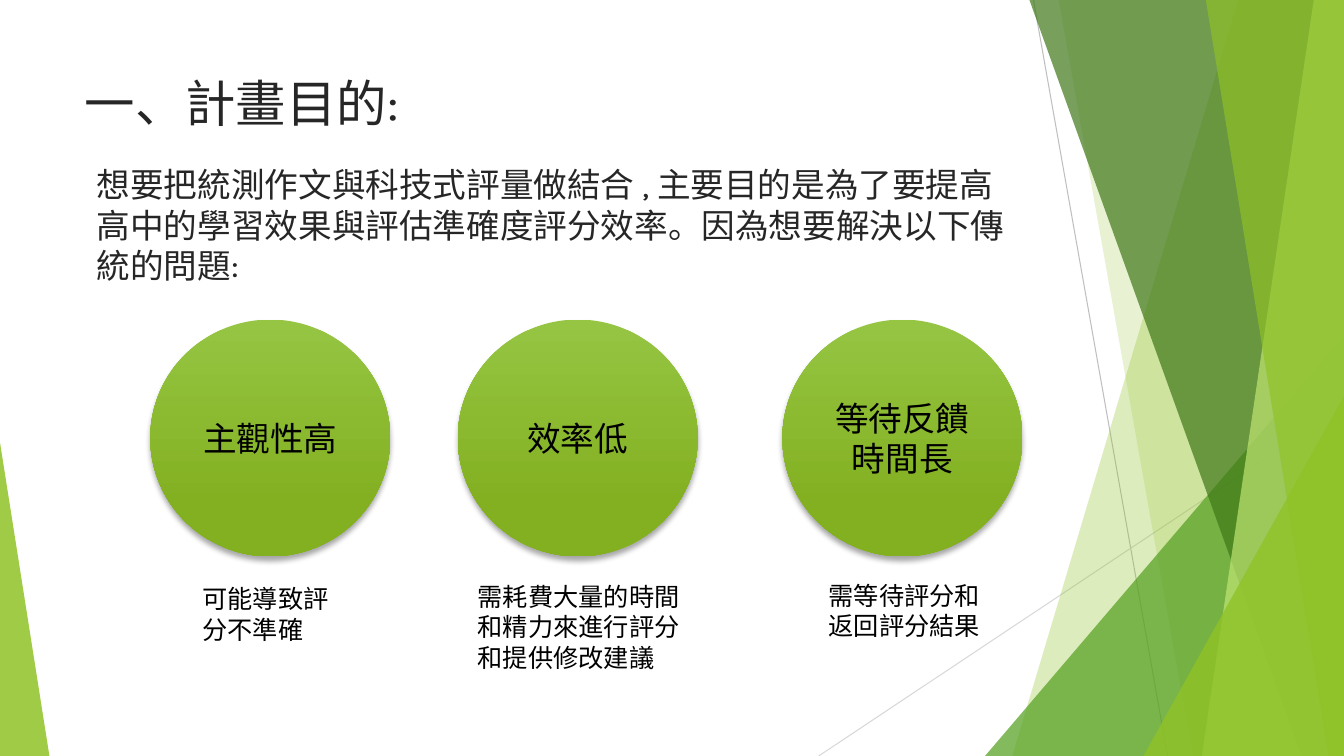
from lxml.etree import SubElement
from pptx import Presentation
from pptx.dml.color import RGBColor
from pptx.enum.shapes import MSO_CONNECTOR, MSO_SHAPE
from pptx.enum.text import MSO_ANCHOR, MSO_AUTO_SIZE, PP_ALIGN
from pptx.oxml.ns import qn
from pptx.util import Inches, Pt

WIDE, HIGH = 13.33, 7.5
FONT = "Karla"
HEX = {
    "lime": "90C226", "green": "54A021", "dark": "3F7818", "pale": "BFE471",
    "top": "95C543", "base": "83B021", "ink": "262626", "black": "000000",
    "gray": "BFBFBF", "light": "D8D8D8",
}


def rgb(name):
    """Look up a named colour."""
    return RGBColor.from_string(HEX[name])


def tint(shape, name, alpha):
    """Give a flat shape a see-through fill without line or shadow."""
    shape.fill.solid()
    shape.fill.fore_color.rgb = rgb(name)
    color = shape._element.spPr.find(qn("a:solidFill"))[0]
    SubElement(color, qn("a:alpha"), val=str(alpha * 1000))
    shape.line.fill.background()
    shape.shadow.inherit = False


def write(shape, text, size, color="black", align=PP_ALIGN.LEFT,
          anchor=MSO_ANCHOR.TOP, fit=MSO_AUTO_SIZE.NONE):
    """Set one wrapped paragraph and format it."""
    frame = shape.text_frame
    frame.text = text
    frame.word_wrap = True
    frame.auto_size = fit
    frame.vertical_anchor = anchor
    para = frame.paragraphs[0]
    para.alignment = align
    para.space_before = Pt(0)
    font = para.runs[0].font
    font.name, font.size, font.color.rgb = FONT, Pt(size), rgb(color)


def rule(shapes, start, end, color):
    """Draw a thin straight line."""
    line = shapes.add_connector(
        MSO_CONNECTOR.STRAIGHT, *map(Inches, start + end))
    line.line.color.rgb = rgb(color)
    line.line.width = Pt(0.75)
    SubElement(line._element.spPr, qn("a:effectLst"))


def band(shapes, box, top, foot, color, alpha):
    """Fill from a slanted left edge to the right side of the box."""
    x, y, w, h = box
    pen = shapes.build_freeform(Inches(x + top), Inches(y))
    ends = [(x + w, y), (x + w, y + h), (x + foot, y + h)]
    pen.add_line_segments([(Inches(a), Inches(b)) for a, b in ends])
    tint(pen.convert_to_shape(), color, alpha)


def wedge(shapes, box, tip, color, alpha):
    """Draw a right triangle with its tip at the left (0) or right (1)."""
    shape = shapes.add_shape(
        MSO_SHAPE.ISOSCELES_TRIANGLE, *map(Inches, box))
    shape.adjustments[0] = tip
    tint(shape, color, alpha)


def facets(shapes, box):
    """Build the green facets on the right side of the slide."""
    x, y, w, h = box
    right, foot = x + w, y + h
    rule(shapes, (x + 2.13, y), (x + 3.46, foot), "gray")
    rule(shapes, (right, y + 4.03), (x, foot), "light")
    band(shapes, box, 4.16, 1.92, "lime", 30)
    band(shapes, box, 2.38, 3.71, "lime", 20)
    wedge(shapes, (right - 3.56, foot - 4.17, 3.56, 4.17), 1, "green", 72)
    band(shapes, box, 2.09, 4.79, "dark", 70)
    band(shapes, box, 4.91, 3.8, "pale", 70)
    band(shapes, box, 3.84, 5.06, "lime", 65)
    wedge(shapes, (right - 1.99, foot - 3.57, 1.99, 3.57), 1, "lime", 80)


def holder(slide, index, box, text, size):
    """Move a placeholder in front of the facets and fill it."""
    shape = slide.placeholders[index]
    slide.shapes._spTree.append(shape._element)
    shape.left, shape.top, shape.width, shape.height = map(Inches, box)
    write(shape, text, size, "ink")
    props = shape.text_frame.paragraphs[0]._p.get_or_add_pPr()
    props.set("marL", "0")
    props.set("indent", "0")
    SubElement(props, qn("a:buNone"))


def disc(shapes, box, text):
    """Draw a shaded circle that names one problem."""
    shape = shapes.add_shape(MSO_SHAPE.OVAL, *map(Inches, box))
    shape.fill.gradient()
    shape.fill.gradient_angle = 270
    first, last = shape.fill.gradient_stops
    first.color.rgb, last.color.rgb = rgb("top"), rgb("base")
    last.position = 0.78
    shape.line.fill.background()
    shape.shadow.inherit = False
    glow = SubElement(
        shape._element.spPr.find(qn("a:effectLst")), qn("a:outerShdw"),
        blurRad=str(Pt(4)), dist=str(Pt(3)), dir="5400000", rotWithShape="0")
    color = SubElement(glow, qn("a:srgbClr"), val=HEX["black"])
    SubElement(color, qn("a:alpha"), val="35000")
    write(shape, text, 24, align=PP_ALIGN.CENTER, anchor=MSO_ANCHOR.MIDDLE)


def issue(shapes, box, name, note, inset, drop, width, high):
    """Place a circle and the note below it."""
    x, y, w, h = box
    disc(shapes, box, name)
    area = (x + inset, y + h + drop, width, high)
    label = shapes.add_textbox(*map(Inches, area))
    write(label, note, 18, fit=MSO_AUTO_SIZE.SHAPE_TO_FIT_TEXT)


ISSUES = [
    (1.49, "主觀性高", "可能導致評分不準確", 0.42, 0.22, 1.54, 0.71),
    (4.54, "效率低", "需耗費大量的時間和精力來進行評分和提供修改建議",
     0.1, 0.2, 2.28, 1.01),
    (7.76, "等待反饋時間長", "需等待評分和返回評分結果",
     0.36, 0.19, 1.83, 0.71),
]


def purpose(slide, box):
    """Build the slide on the purpose of the plan."""
    x, y, w, h = box
    shapes = slide.shapes
    facets(shapes, (x + 8.12, y, w - 8.12, h))
    wedge(shapes, (x, y + h - 3.11, 0.49, 3.11), 0, "lime", 85)
    holder(slide, 0, (x + 0.74, y + 0.67, 9.4, 0.76), "一、計畫目的:", 36)
    holder(slide, 1, (x + 0.86, y + 1.58, 9.4, 4.24),
           "想要把統測作文與科技式評量做結合 , 主要目的是為了要提高"
           "高中的學習效果與評估準確度評分效率。因為想要解決以下傳統的問題:", 24)
    for left, *parts in ISSUES:
        issue(shapes, (x + left, y + 3.17, 2.38, 2.35), *parts)


deck = Presentation()
deck.slide_width, deck.slide_height = Inches(WIDE), Inches(HIGH)
purpose(deck.slides.add_slide(deck.slide_layouts[1]), (0, 0, WIDE, HIGH))
deck.save("out.pptx")
